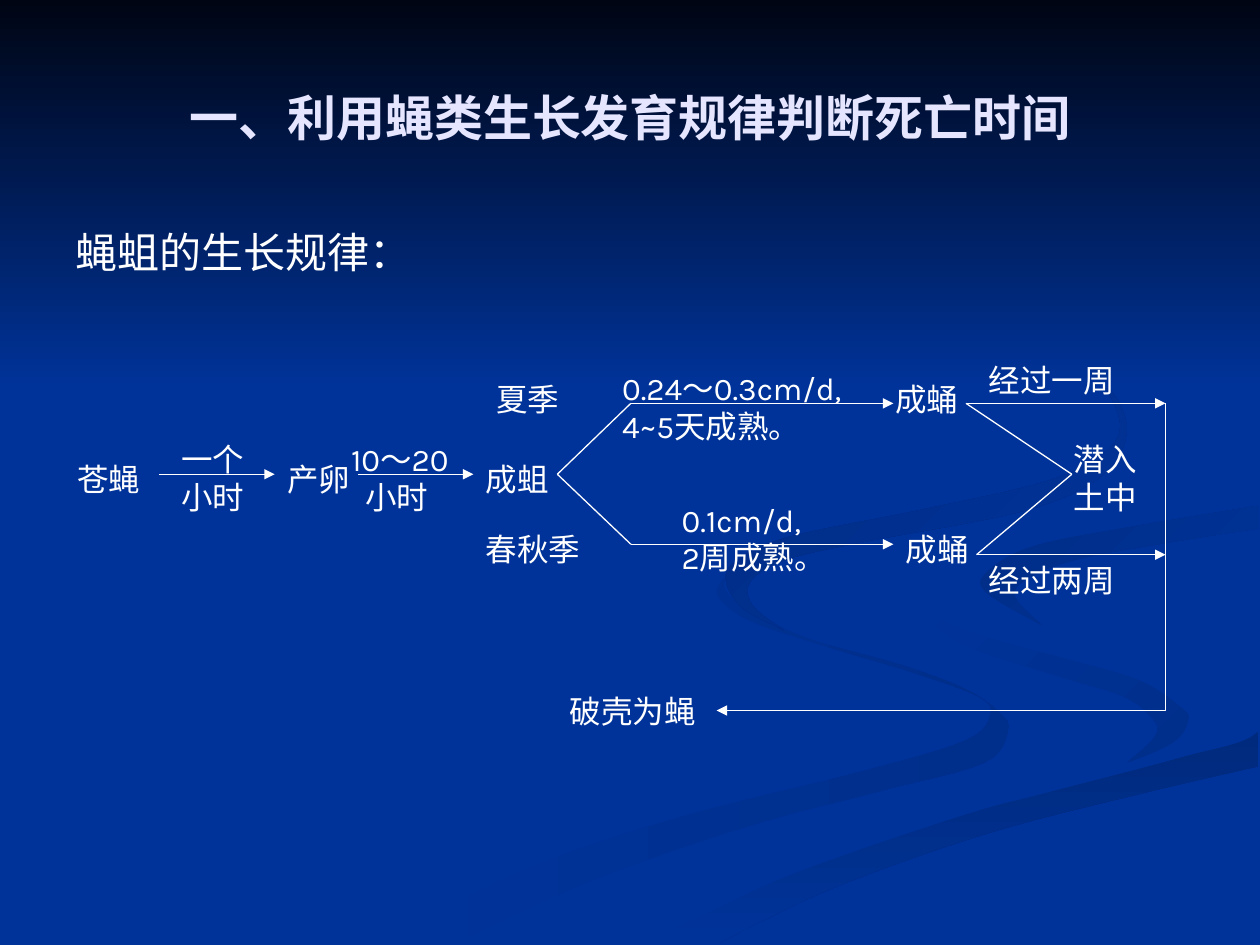
from lxml.etree import SubElement
from pptx import Presentation
from pptx.dml.color import RGBColor
from pptx.enum.shapes import MSO_CONNECTOR
from pptx.enum.text import MSO_ANCHOR, PP_ALIGN
from pptx.oxml.ns import qn
from pptx.util import Pt

COLORS = {
    "blue": "003399", "night": "000514", "title": "E5E5FF", "white": "FFFFFF",
    "ribbon": "002E8B", "band": "002A7D", "wisp": "002D86", "curl": "002B82",
}
PAGE_WIDTH, PAGE_HEIGHT = 720, 540
CURVE_STEPS = 6


def add_text(text, left, top, width, height=29, size=18, font="Karla", color="white",
             bold=False, align=PP_ALIGN.LEFT, anchor=MSO_ANCHOR.TOP, last_indent=0):
    box = page.shapes.add_textbox(Pt(left), Pt(top), Pt(width), Pt(height))
    frame = box.text_frame
    frame.word_wrap = True
    frame.vertical_anchor = anchor
    frame.text = text
    for para in frame.paragraphs:
        para.alignment = align
        for span in para.runs:
            span.font.size = Pt(size)
            span.font.name = font
            span.font.bold = bold
            span.font.color.rgb = RGBColor.from_string(COLORS[color])
    if last_indent:
        para._p.get_or_add_pPr().set("marL", str(Pt(last_indent)))


def add_line(start, end, arrow=False, kind=MSO_CONNECTOR.STRAIGHT):
    line = page.shapes.add_connector(kind, *(Pt(value) for value in start + end))
    line.line.width = Pt(0.75)
    line.line.color.rgb = RGBColor.from_string(COLORS["white"])
    if arrow:
        SubElement(line.line._get_or_add_ln(), qn("a:tailEnd"), type="triangle")
    SubElement(line._element.spPr, qn("a:effectLst"))
    return line


deck = Presentation()
deck.slide_width, deck.slide_height = Pt(PAGE_WIDTH), Pt(PAGE_HEIGHT)
page = deck.slides.add_slide(deck.slide_layouts[6])
page.background.fill.solid()
page.background.fill.fore_color.rgb = RGBColor.from_string(COLORS["blue"])

ribbon_outer = [(414, 330), (415, 338), (428, 349), (462, 365), (515, 380), (552, 394), (572, 408),
                (576, 418), (562, 436), (503, 452), (428, 472), (336, 504), (260, 539)]
ribbon_inner = [(414, 330), (410, 340), (427, 354), (471, 369), (524, 385), (559, 398), (566, 408),
                (552, 423), (492, 441), (388, 467), (300, 497), (216, 539)]
hook_outer = [(521, 334), (528, 348), (557, 362), (612, 377), (652, 389), (676, 405),
              (679, 412), (671, 424), (644, 436)]
hook_inner = [(521, 334), (528, 351), (552, 369), (603, 386), (642, 398), (659, 411),
              (660, 421), (644, 436)]
band_upper = [(719, 418), (674, 433), (598, 453), (550, 466), (454, 499), (391, 528), (362, 539)]
band_lower = [(719, 438), (650, 454), (565, 476), (482, 505), (432, 528), (411, 539)]
wisp_upper = [(719, 289), (647, 301), (591, 312), (565, 326), (563, 338), (595, 357)]
wisp_lower = [(719, 302), (674, 309), (618, 319), (588, 330), (580, 341), (595, 357)]
curl_outer = [(549, 168), (591, 188), (622, 210), (641, 233), (642, 255), (624, 276), (581, 293),
              (492, 310), (449, 320), (429, 332), (430, 346), (448, 360)]
curl_inner = [(549, 168), (595, 192), (626, 215), (640, 241), (631, 259), (598, 275), (528, 291),
              (450, 307), (420, 321), (415, 333), (425, 348), (448, 360)]
sweep_left = [(719, 279), (662, 289), (598, 299), (544, 311), *hook_outer,
              (607, 445), (535, 463), (446, 492), (343, 539)]
sweep_right = [*wisp_upper[:-1], (572, 346), (611, 362), (665, 377), (719, 387), *band_upper]
sky_top = [(0, 0), (PAGE_WIDTH, 0)]
sky_bottom = [(0, 222), (PAGE_WIDTH, 222)]

for edges, first_color, last_color, angle in [
    ((ribbon_outer, ribbon_inner), "blue", "ribbon", 0),
    ((hook_outer, hook_inner), "blue", "ribbon", 315),
    ((band_upper, band_lower), "band", "blue", 270),
    ((sweep_left, sweep_right), "blue", "blue", 0),
    ((wisp_upper, wisp_lower), "wisp", "blue", 315),
    ((curl_outer, curl_inner), "curl", "blue", 315),
    ((sky_top, sky_bottom), "night", "blue", 270),
]:
    curves = []
    for edge in edges:
        padded = [edge[0], *edge, edge[-1]]
        curve = [edge[0]]
        for before, start, end, after in zip(padded, padded[1:], padded[2:], padded[3:]):
            for step in range(1, CURVE_STEPS + 1):
                t = step / CURVE_STEPS
                x, y = (
                    b + (c - a) * t / 2 + (2 * a - 5 * b + 4 * c - d) * t**2 / 2
                    + (3 * b - a - 3 * c + d) * t**3 / 2
                    for a, b, c, d in zip(before, start, end, after)
                )
                curve.append((min(x, PAGE_WIDTH), y))
        curves.append(curve)
    outline = [(Pt(x), Pt(y)) for x, y in curves[0] + curves[1][::-1]]
    builder = page.shapes.build_freeform(*outline[0])
    builder.add_line_segments(outline[1:], close=True)
    swoosh = builder.convert_to_shape()
    swoosh.shadow.inherit = False
    swoosh.line.fill.background()
    swoosh.fill.gradient()
    swoosh.fill.gradient_angle = angle
    for stop, name, position in zip(swoosh.fill.gradient_stops, (first_color, last_color), (0, 1)):
        stop.color.rgb = RGBColor.from_string(COLORS[name])
        stop.position = position

add_text("一、利用蝇类生长发育规律判断死亡时间", 36, 21.6, 648, 90, size=28,
         font="Times New Roman", color="title", bold=True,
         align=PP_ALIGN.CENTER, anchor=MSO_ANCHOR.MIDDLE)
add_text("蝇蛆的生长规律：", 36, 126, 648, 53, size=24, font="Times New Roman")

summer_y, middle_y, autumn_y, soil_y, hatch_y = 230.5, 271, 311, 317, 406
fly_x, egg_x, maggot_x, fork_x, branch_x = 37, 157, 270.5, 318.5, 360.5
pupa_x, summer_exit_x, autumn_exit_x, soil_x, return_x = 510.5, 552, 558, 612.5, 666
hatch_x = 409.5
stage_rise, season_rise, double_rise = 11.5, 17, 23

for text, left, width in [("苍蝇", fly_x, 51), ("产卵", egg_x, 53), ("成蛆", maggot_x, 53)]:
    add_text(text, left, middle_y - stage_rise, width)
for text, left, width in [("夏季", maggot_x + 6, 51), ("成蛹", pupa_x - 6, 51)]:
    add_text(text, left, summer_y - season_rise, width)
for text, left, width in [("春秋季", maggot_x, 69), ("成蛹", pupa_x, 51)]:
    add_text(text, left, autumn_y - stage_rise, width)
add_text("经过一周", autumn_exit_x, summer_y - 28, 102)
add_text("经过两周", autumn_exit_x, soil_y, 108)
add_text("破壳为蝇", hatch_x - 91, hatch_y - 14, 87)

add_text("一个\n小时", 96.5, middle_y - double_rise, 51, 50)
add_text("10～20\n小时", 193.5, middle_y - double_rise, 82, 50, last_indent=8)
add_text("潜入\n土中", soil_x - 6, middle_y - double_rise, 51, 50)
add_text("0.24～0.3cm/d,\n4~5天成熟。", 348.5, summer_y - double_rise, 150, 72)
add_text("0.1cm/d,\n2周成熟。", 382.5, autumn_y - 28.5, 92, 72)

for y, left, right in [
    (middle_y, 91, egg_x), (middle_y, 204.5, maggot_x),
    (summer_y, branch_x, pupa_x), (autumn_y, branch_x, pupa_x),
    (summer_y, summer_exit_x, return_x), (soil_y, autumn_exit_x, return_x),
]:
    add_line((left, y), (right, y), arrow=True)
for hub_x, end_x, end_y in [
    (fork_x, branch_x, summer_y), (fork_x, branch_x, autumn_y),
    (soil_x, summer_exit_x, summer_y), (soil_x, autumn_exit_x, soil_y),
]:
    add_line((hub_x, middle_y), (end_x, end_y))

center_x, center_y = (hatch_x + return_x) / 2, (summer_y + hatch_y) / 2
half_width, half_height = (hatch_y - summer_y) / 2, (return_x - hatch_x) / 2
elbow = add_line((center_x - half_width, center_y - half_height),
                 (center_x + half_width, center_y + half_height),
                 arrow=True, kind=MSO_CONNECTOR.ELBOW)
elbow._element.spPr.find(qn("a:xfrm")).set("rot", "5400000")
elbow._element.spPr.find(qn("a:prstGeom")).set("prst", "bentConnector2")

deck.save("out.pptx")
